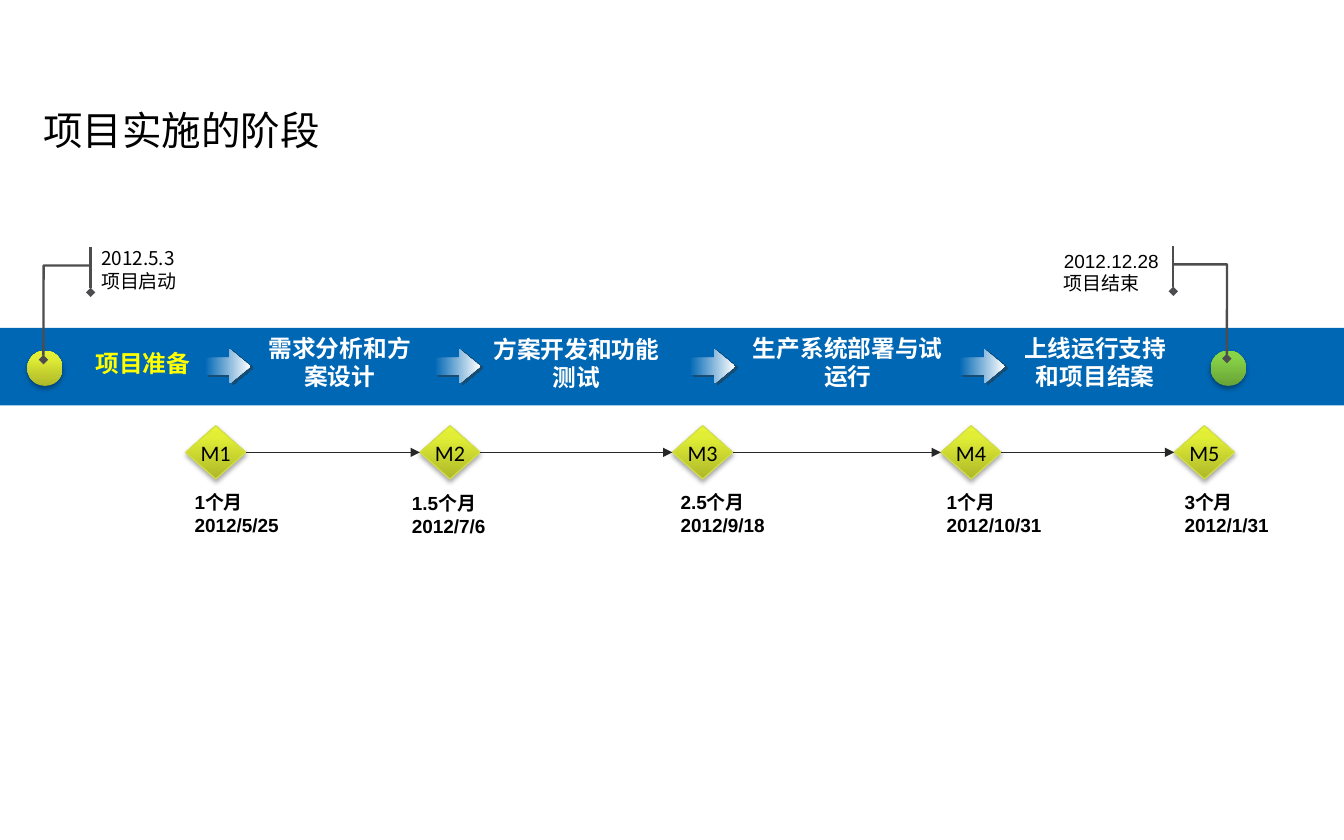
from lxml.etree import SubElement
from pptx import Presentation
from pptx.dml.color import RGBColor
from pptx.enum.shapes import MSO_CONNECTOR, MSO_SHAPE
from pptx.enum.text import MSO_ANCHOR, MSO_AUTO_SIZE, PP_ALIGN
from pptx.oxml.ns import qn
from pptx.util import Pt

COLORS = {
    "black": "000000", "white": "FFFFFF", "yellow": "FFFF00",
    "band": "0067B4", "callout": "4D4D4F", "link": "272728",
    "diamond edge": "D3DF48", "arrow shadow": "333333",
}
GRADIENTS = {
    "lime": [(0, "ADB829"), (80, "E1EE35"), (100, "E5F332")],
    "green": [(0, "68A237"), (80, "87D247"), (100, "88D545")],
    "arrow": [(0, COLORS["band"]), (100, COLORS["white"])],
}
CJK_FONT = "Noto Sans CJK SC"

# Text, left, top, width, height, colour, font
STAGES = [
    ("项目准备", 33.1, 217.4, 114.5, 25.2, "yellow", "Arial"),
    ("需求分析和方案设计", 157.7, 207.4, 114.5, 43.9, "white", "Arial"),
    ("方案开发和功能测试", 298.8, 208.1, 131.8, 43.9, "white", "Arial"),
    ("生产系统部署与试运行", 466.6, 207.4, 139.7, 43.9, "white", "Arial"),
    ("上线运行支持\n和项目结案", 627.1, 207.4, 131.8, 43.9, "white", CJK_FONT),
]
ARROW_LEFTS = [129.6, 275, 436.3, 607]

# Diamond left, then label text, left, top, width
MILESTONES = [
    (117.4, "1个月\n2012/5/25", 123.1, 310.3, 64),
    (265.7, "1.5个月\n2012/7/6", 260.6, 311, 58.3),
    (425.5, "2.5个月\n2012/9/18", 430.6, 310.3, 63.4),
    (595.4, "1个月\n2012/10/31", 599, 310.3, 75.6),
    (743, "3个月\n2012/1/31", 749.5, 310.3, 67.7),
]


def rgb(name):
    return RGBColor.from_string(COLORS[name])


def write_text(shape, text, size=12, color="black", font="Arial", bold=False,
               align=PP_ALIGN.LEFT, anchor=MSO_ANCHOR.TOP, wrap=True,
               grow=False, inset=None):
    frame = shape.text_frame
    frame.word_wrap = wrap
    frame.vertical_anchor = anchor
    frame.auto_size = MSO_AUTO_SIZE.SHAPE_TO_FIT_TEXT if grow else MSO_AUTO_SIZE.NONE
    if inset is not None:
        frame.margin_left = frame.margin_right = Pt(inset)
        frame.margin_top = frame.margin_bottom = Pt(inset)
    for index, line in enumerate(text.split("\n")):
        para = frame.add_paragraph() if index else frame.paragraphs[0]
        para.alignment = align
        span = para.add_run()
        span.text = line
        span.font.size = Pt(size)
        span.font.bold = bold
        span.font.name = font
        span.font.color.rgb = rgb(color)
        SubElement(span.font._element, qn("a:ea"), typeface=CJK_FONT)


def add_text_box(page, text, left, top, width, height, **text_format):
    box = page.shapes.add_textbox(Pt(left), Pt(top), Pt(width), Pt(height))
    write_text(box, text, grow=True, **text_format)
    return box


def add_shape(page, kind, left, top, width, height, adjustments=()):
    shape = page.shapes.add_shape(kind, Pt(left), Pt(top), Pt(width), Pt(height))
    shape.shadow.inherit = False
    shape.line.fill.background()
    for index, value in enumerate(adjustments):
        shape.adjustments[index] = value
    return shape


def fill_gradient(shape, name, angle):
    shape.fill.gradient()
    shape.fill.gradient_angle = angle
    stops = shape._element.spPr.find(qn("a:gradFill")).find(qn("a:gsLst"))
    for stop in list(stops):
        stops.remove(stop)
    for position, color in GRADIENTS[name]:
        stop = SubElement(stops, qn("a:gs"), pos=str(position * 1000))
        SubElement(stop, qn("a:srgbClr"), val=color)


def cast_shadow(shape, color="black", opacity=35, blur=3.1, distance=1.8, angle=90):
    effects = shape._element.spPr.find(qn("a:effectLst"))
    shadow = SubElement(effects, qn("a:outerShdw"), blurRad=str(int(Pt(blur))),
                        dist=str(int(Pt(distance))), dir=str(angle * 60000),
                        algn="ctr", rotWithShape="0")
    tint = SubElement(shadow, qn("a:srgbClr"), val=COLORS[color])
    SubElement(tint, qn("a:alpha"), val=str(opacity * 1000))


def style_line(shape, color, width, end=None):
    shape.line.color.rgb = rgb(color)
    shape.line.width = Pt(width)
    if end:
        SubElement(shape._element.spPr.find(qn("a:ln")), qn("a:tailEnd"), type=end)


def add_stage_arrow(page, left):
    arrow = add_shape(page, MSO_SHAPE.RIGHT_ARROW, left, 221, 28.8, 21.6, (0.5, 0.605))
    fill_gradient(arrow, "arrow", 0)
    cast_shadow(arrow, "arrow shadow", 50, 0, 2.2, 27)


def add_endpoint(page, left, gradient):
    circle = add_shape(page, MSO_SHAPE.FLOWCHART_CONNECTOR, left, 221.8, 22.3, 22.3)
    fill_gradient(circle, gradient, 90)
    cast_shadow(circle)


def add_callout(page, left, top, bar):
    callout = add_shape(page, MSO_SHAPE.LINE_CALLOUT_2_ACCENT_BAR, left, top, 124.6, 28.8,
                        (0.41, bar, 0.41, -0.235, 2.479, -0.236))
    callout.fill.background()
    style_line(callout, "callout", 1.5, "diamond")
    return callout


def add_milestone(page, name, left):
    diamond = add_shape(page, MSO_SHAPE.DIAMOND, left, 269.3, 38.2, 33.8)
    fill_gradient(diamond, "lime", 90)
    style_line(diamond, "diamond edge", 0.75)
    cast_shadow(diamond)
    write_text(diamond, name, size=14, font="Calibri", align=PP_ALIGN.CENTER,
               anchor=MSO_ANCHOR.MIDDLE, wrap=False)
    return diamond


def link_milestones(page, start, finish):
    link = page.shapes.add_connector(MSO_CONNECTOR.STRAIGHT, 0, 0, 0, 0)
    link.begin_connect(start, 3)
    link.end_connect(finish, 1)
    style_line(link, "link", 1, "triangle")
    SubElement(link._element.spPr, qn("a:effectLst"))


def main():
    deck = Presentation()
    deck.slide_width, deck.slide_height = Pt(850.4), Pt(531.4)
    page = deck.slides.add_slide(deck.slide_layouts[5])

    # Title
    title = page.shapes.title
    title.left, title.top, title.width, title.height = Pt(20.2), Pt(69.1), Pt(808.6), Pt(25.9)
    write_text(title, "项目实施的阶段", size=25, font=CJK_FONT, anchor=MSO_ANCHOR.MIDDLE)

    # Stage band
    band = add_shape(page, MSO_SHAPE.RECTANGLE, 0, 207.4, 850.4, 49)
    band.fill.solid()
    band.fill.fore_color.rgb = rgb("band")
    for left in ARROW_LEFTS:
        add_stage_arrow(page, left)
    for text, left, top, width, height, color, font in STAGES:
        add_text_box(page, text, left, top, width, height, size=15, color=color,
                     font=font, bold=True, align=PP_ALIGN.CENTER)

    # Project start and end
    add_endpoint(page, 17.3, "lime")
    add_endpoint(page, 766.1, "green")
    start_callout = add_callout(page, 56.9, 156.2, 0.004)
    write_text(start_callout, "2012.5.3\n项目启动", font=CJK_FONT, anchor=MSO_ANCHOR.MIDDLE)
    add_callout(page, 805.7, 155.5, -0.508)
    add_text_box(page, "2012.12.28\n项目结束", 673.2, 157.7, 60.5, 28.8, wrap=False, inset=0)

    # Milestones
    diamonds = []
    for number, (left, label, label_left, label_top, width) in enumerate(MILESTONES, 1):
        diamonds.append(add_milestone(page, f"M{number}", left))
        add_text_box(page, label, label_left, label_top, width, 28.8, bold=True, inset=0)
    for start, finish in zip(diamonds, diamonds[1:]):
        link_milestones(page, start, finish)

    deck.save("out.pptx")


if __name__ == "__main__":
    main()
